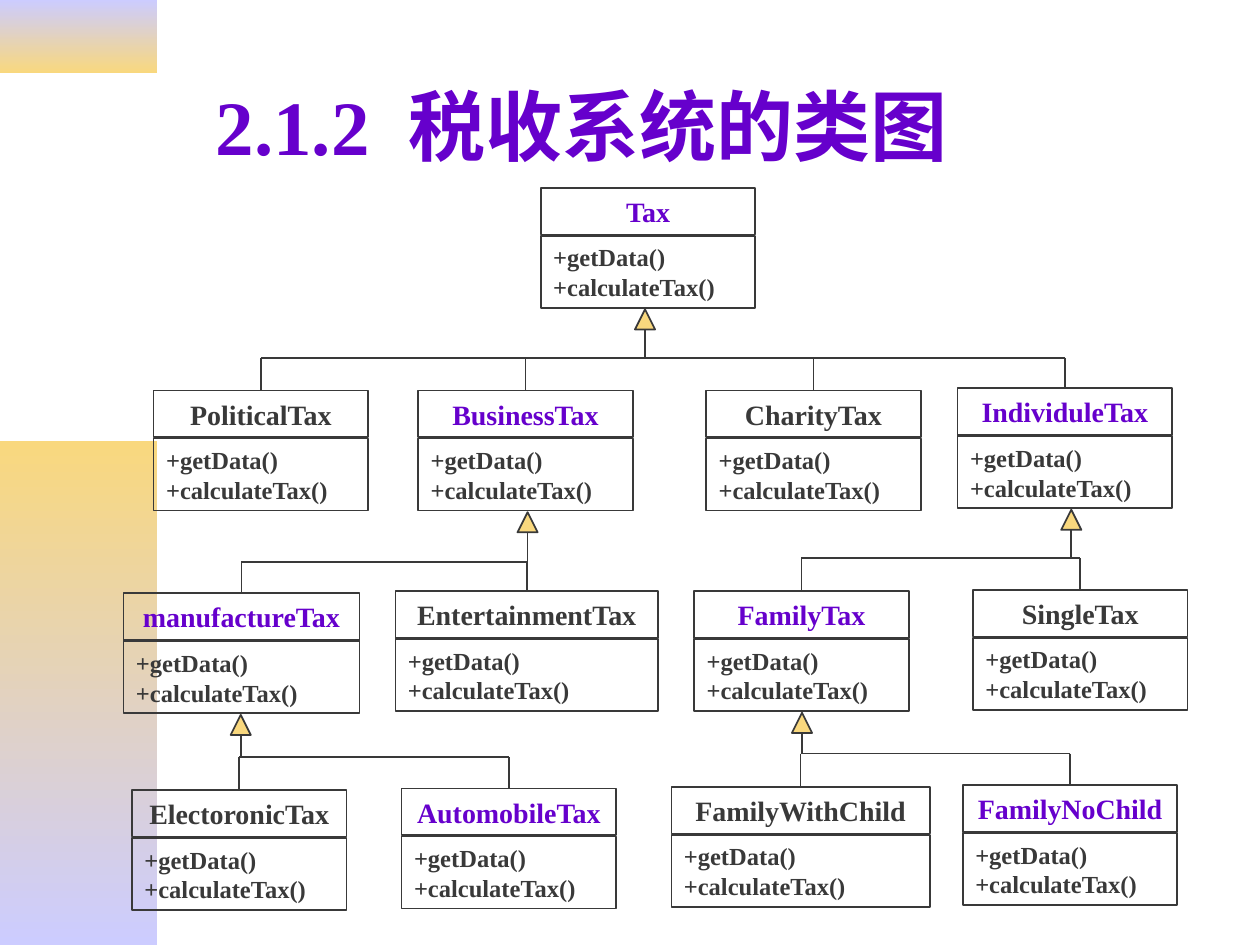
from dataclasses import dataclass

from lxml.etree import SubElement
from pptx import Presentation
from pptx.dml.color import RGBColor
from pptx.enum.shapes import MSO_CONNECTOR as Connector, MSO_SHAPE as Shape
from pptx.enum.text import MSO_ANCHOR as Anchor, PP_ALIGN as Align
from pptx.oxml.ns import qn
from pptx.util import Pt


@dataclass(frozen=True)
class Theme:
    font: str = "Times New Roman"
    ink: RGBColor = RGBColor(0x39, 0x39, 0x39)
    accent: RGBColor = RGBColor(0x66, 0x00, 0xCC)
    gold: RGBColor = RGBColor(0xF9, 0xD8, 0x7E)
    lilac: RGBColor = RGBColor(0xCC, 0xCC, 0xFF)
    title_size: int = 44
    name_size: int = 16
    method_size: int = 14
    line_width: int = 1


theme = Theme()

HEADER_HEIGHT = 26.7
BODY_OFFSET = 27.4
BODY_HEIGHT = 41.2
ARROW_OFFSET = 69.5
ARROW_SIZE = 11.5
METHODS = "+getData()\v+calculateTax()"

# name: left, top, width, highlighted
classes = {
    "Tax": (309, 107.3, 122.6, True),
    "PoliticalTax": (87.8, 223.2, 122.6, False),
    "BusinessTax": (239, 223.2, 122.6, True),
    "CharityTax": (403.5, 223.2, 122.6, False),
    "IndividuleTax": (547.2, 221.8, 122.6, True),
    "manufactureTax": (70.6, 339, 134.8, True),
    "EntertainmentTax": (226, 337.8, 150, False),
    "FamilyTax": (396.7, 337.8, 122.6, True),
    "SingleTax": (556, 337, 122.6, False),
    "ElectoronicTax": (75.4, 451.4, 122.6, False),
    "AutomobileTax": (229.5, 450.6, 122.6, True),
    "FamilyWithChild": (383.7, 449.6, 147.6, False),
    "FamilyNoChild": (550.2, 448.6, 122.6, True),
}

# parent: arrow centre, height of the crossbar, children
branches = {
    "Tax": (368.6, 204.5, ["PoliticalTax", "BusinessTax", "CharityTax", "IndividuleTax"]),
    "BusinessTax": (301.5, 321, ["manufactureTax", "EntertainmentTax"]),
    "IndividuleTax": (612.2, 319, ["FamilyTax", "SingleTax"]),
    "manufactureTax": (137.6, 432.6, ["ElectoronicTax", "AutomobileTax"]),
    "FamilyTax": (458.3, 430.6, ["FamilyWithChild", "FamilyNoChild"]),
}


def write(shape, text, *, size, color, align=Align.LEFT, spacing=None):
    frame = shape.text_frame
    frame.word_wrap = True
    frame.vertical_anchor = Anchor.MIDDLE
    para = frame.paragraphs[0]
    para.text = text
    para.alignment = align
    if spacing:
        para.line_spacing = Pt(spacing)
    for span in para.runs:
        span.font.name = theme.font
        span.font.size = Pt(size)
        span.font.bold = True
        span.font.color.rgb = color


def add_line(x1, y1, x2, y2):
    line = page.shapes.add_connector(Connector.STRAIGHT, Pt(x1), Pt(y1), Pt(x2), Pt(y2))
    line.line.color.rgb = theme.ink
    line.line.width = Pt(theme.line_width)
    SubElement(line._element.spPr, qn("a:effectLst"))
    return line


deck = Presentation()
deck.slide_width, deck.slide_height = Pt(720), Pt(540)
page = deck.slides.add_slide(deck.slide_layouts[5])

# Side bands
for top, height, colors in [
    (0, 41.8, (theme.lilac, theme.gold)),
    (252, 288, (theme.gold, theme.lilac)),
]:
    band = page.shapes.add_shape(Shape.RECTANGLE, 0, Pt(top), Pt(90), Pt(height))
    band.shadow.inherit = False
    band.line.fill.background()
    band.fill.gradient()
    band.fill.gradient_angle = 270
    for stop, color in zip(band.fill.gradient_stops, colors):
        stop.color.rgb = color

# Title
title = page.shapes.title
title.left, title.top, title.width, title.height = Pt(116), Pt(23.8), Pt(592), Pt(95)
write(title, "2.1.2 ", size=theme.title_size, color=theme.accent)
title_para = title.text_frame.paragraphs[0]
number = title_para.runs[0]
number.text = "2.1.2"
for text, tracking in [(" ", 1100), ("税收系统的类图", 0)]:
    span = title_para.add_run()
    span.text = text
    span.font.name = theme.font
    span.font.size = Pt(theme.title_size)
    span.font.bold = True
    span.font.color.rgb = theme.accent
    span.font._element.set("spc", str(tracking))

# Class boxes
headers = {}
for name, (left, top, width, highlighted) in classes.items():
    parts = []
    for y, height in [(top + BODY_OFFSET, BODY_HEIGHT), (top, HEADER_HEIGHT)]:
        part = page.shapes.add_shape(Shape.RECTANGLE, Pt(left), Pt(y), Pt(width), Pt(height))
        part.shadow.inherit = False
        part.fill.background()
        part.line.color.rgb = theme.ink
        part.line.width = Pt(theme.line_width)
        parts.append(part)
    body, header = parts
    write(body, METHODS, size=theme.method_size, color=theme.ink, spacing=17)
    write(header, name, size=theme.name_size, align=Align.CENTER,
          color=theme.accent if highlighted else theme.ink)
    header.text_frame.margin_left = header.text_frame.margin_right = Pt(3)
    headers[name] = header

# Inheritance arrows
for parent, (center, bar, children) in branches.items():
    arrow_top = classes[parent][1] + ARROW_OFFSET
    arrow = page.shapes.add_shape(Shape.ISOSCELES_TRIANGLE, Pt(center - ARROW_SIZE / 2),
                                  Pt(arrow_top), Pt(ARROW_SIZE), Pt(ARROW_SIZE))
    arrow.shadow.inherit = False
    arrow.fill.solid()
    arrow.fill.fore_color.rgb = theme.gold
    arrow.line.color.rgb = theme.ink
    arrow.line.width = Pt(theme.line_width)
    add_line(center, arrow_top + ARROW_SIZE, center, bar)

    drops = [classes[child][0] + classes[child][2] / 2 for child in children]
    add_line(min(drops + [center]), bar, max(drops + [center]), bar)
    for child, x in zip(children, drops):
        add_line(x, bar, x, classes[child][1]).end_connect(headers[child], 0)

deck.save("out.pptx")
